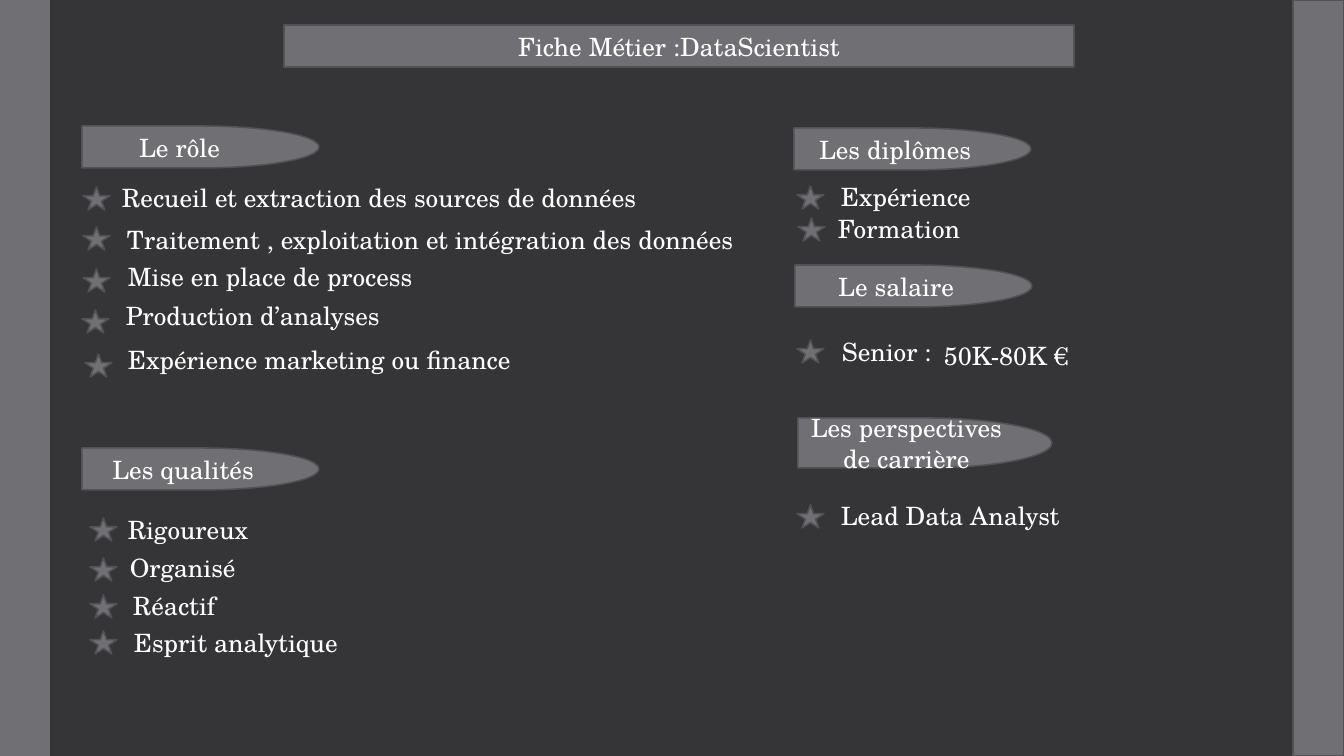
from dataclasses import dataclass

from lxml.etree import SubElement
from pptx import Presentation
from pptx.dml.color import RGBColor
from pptx.enum.shapes import MSO_SHAPE as Preset
from pptx.enum.text import MSO_ANCHOR as Anchor, MSO_AUTO_SIZE as AutoSize, PP_ALIGN as Align
from pptx.oxml.ns import qn
from pptx.util import Emu, Pt

# Content: places in px
TITLE = ("Fiche Métier :DataScientist", (284, 25, 790, 42))
SIDE_BARS = [((0, 0, 50, 756), False), ((1293, 0, 51, 756), True)]

# Section: heading, its box, then (item, star place, text place and width)
SECTIONS = [
    ("Le rôle ", (82, 126, 237, 42), [
        ("Recueil et extraction des sources de données", (83, 187), (112, 177, 540)),
        ("Traitement , exploitation et intégration des données", (83, 227), (117, 219, 632)),
        ("Mise en place de process", (83, 269), (118, 256, 308)),
        ("Production d’analyses", (82, 310), (116, 295, 277)),
        ("Expérience marketing ou finance", (85, 354), (118, 339, 409)),
    ]),
    ("Les qualités", (82, 448, 237, 42), [
        ("Rigoureux", (90, 518), (118, 509, 142)),
        ("Organisé", (90, 558), (120, 547, 127)),
        ("Réactif", (90, 595), (123, 585, 103)),
        ("Esprit analytique", (90, 631), (124, 622, 227)),
    ]),
    ("Les diplômes", (794, 128, 237, 42), [
        ("Expérience", (797, 186), (831, 176, 151)),
        ("Formation", (798, 218), (828, 208, 144)),
    ]),
    ("Le salaire", (795, 265, 237, 42), [
        ("Senior :", (797, 340), (832, 331, 111)),
        ("50K-80K €", None, (934, 335, 146)),
    ]),
    ("Les perspectives de carrière", (798, 418, 254, 50), [
        ("Lead Data Analyst", (797, 505), (831, 495, 242)),
    ]),
]


@dataclass(frozen=True)
class Theme:
    background: RGBColor = RGBColor.from_string("353537")
    panel: RGBColor = RGBColor.from_string("6F6F74")
    edge: RGBColor = RGBColor.from_string("525256")
    ink: RGBColor = RGBColor.from_string("FFFFFF")
    face: str = "TeX Gyre Schola"
    size: Pt = Pt(18)
    edge_width: Pt = Pt(1.1)


THEME = Theme()
FONT = {"name": THEME.face, "size": THEME.size, "bold": False}
HEADING_FRAME = {"vertical_anchor": Anchor.MIDDLE, "word_wrap": True, "auto_size": AutoSize.NONE}
ITEM_FRAME = {"word_wrap": False, "auto_size": AutoSize.SHAPE_TO_FIT_TEXT}
STAR_SIZE = (27, 23)
ITEM_HEIGHT = 40
EMU_PER_PX = 914400 / 100.8


def scaled(*lengths):
    return [Emu(round(length * EMU_PER_PX)) for length in lengths]


def apply(target, values):
    for name, value in values.items():
        setattr(target, name, value)


def paint(panel, outlined=True):
    panel.fill.solid()
    panel.fill.fore_color.rgb = THEME.panel
    if outlined:
        panel.line.color.rgb = THEME.edge
        panel.line.width = THEME.edge_width
    else:
        panel.line.fill.background()


def write(holder, wording, frame_format, align):
    frame = holder.text_frame
    frame.text = wording
    apply(frame, frame_format)
    paragraph = frame.paragraphs[0]
    paragraph.alignment = align
    font = paragraph.runs[0].font
    apply(font, FONT)
    font.color.rgb = THEME.ink


def add_panel(slide, preset, box, outlined=True):
    panel = slide.shapes.add_shape(preset, *scaled(*box))
    panel.shadow.inherit = False
    paint(panel, outlined)
    return panel


def add_title(slide):
    wording, box = TITLE
    title = slide.shapes.title
    apply(title, dict(zip(("left", "top", "width", "height"), scaled(*box))))
    # Slanted outline for the title placeholder
    outline = SubElement(title.element.spPr, qn("a:prstGeom"), prst="flowChartInputOutput")
    SubElement(outline, qn("a:avLst"))
    paint(title)
    write(title, wording, HEADING_FRAME, Align.CENTER)


def add_section(slide, heading, box, items):
    banner = add_panel(slide, Preset.FLOWCHART_DELAY, box)
    write(banner, heading, HEADING_FRAME, Align.CENTER)
    for wording, star, place in items:
        if star:
            add_panel(slide, Preset.STAR_5_POINT, star + STAR_SIZE)
        item = slide.shapes.add_textbox(*scaled(*place, ITEM_HEIGHT))
        write(item, wording, ITEM_FRAME, Align.LEFT)


def main():
    deck = Presentation()
    deck.slide_width, deck.slide_height = scaled(1344, 756)
    slide = deck.slides.add_slide(deck.slide_layouts[5])
    slide.background.fill.solid()
    slide.background.fill.fore_color.rgb = THEME.background

    # Side bars, title, then sections
    for box, outlined in SIDE_BARS:
        add_panel(slide, Preset.RECTANGLE, box, outlined)
    add_title(slide)
    for section in SECTIONS:
        add_section(slide, *section)
    deck.save("out.pptx")


if __name__ == "__main__":
    main()
